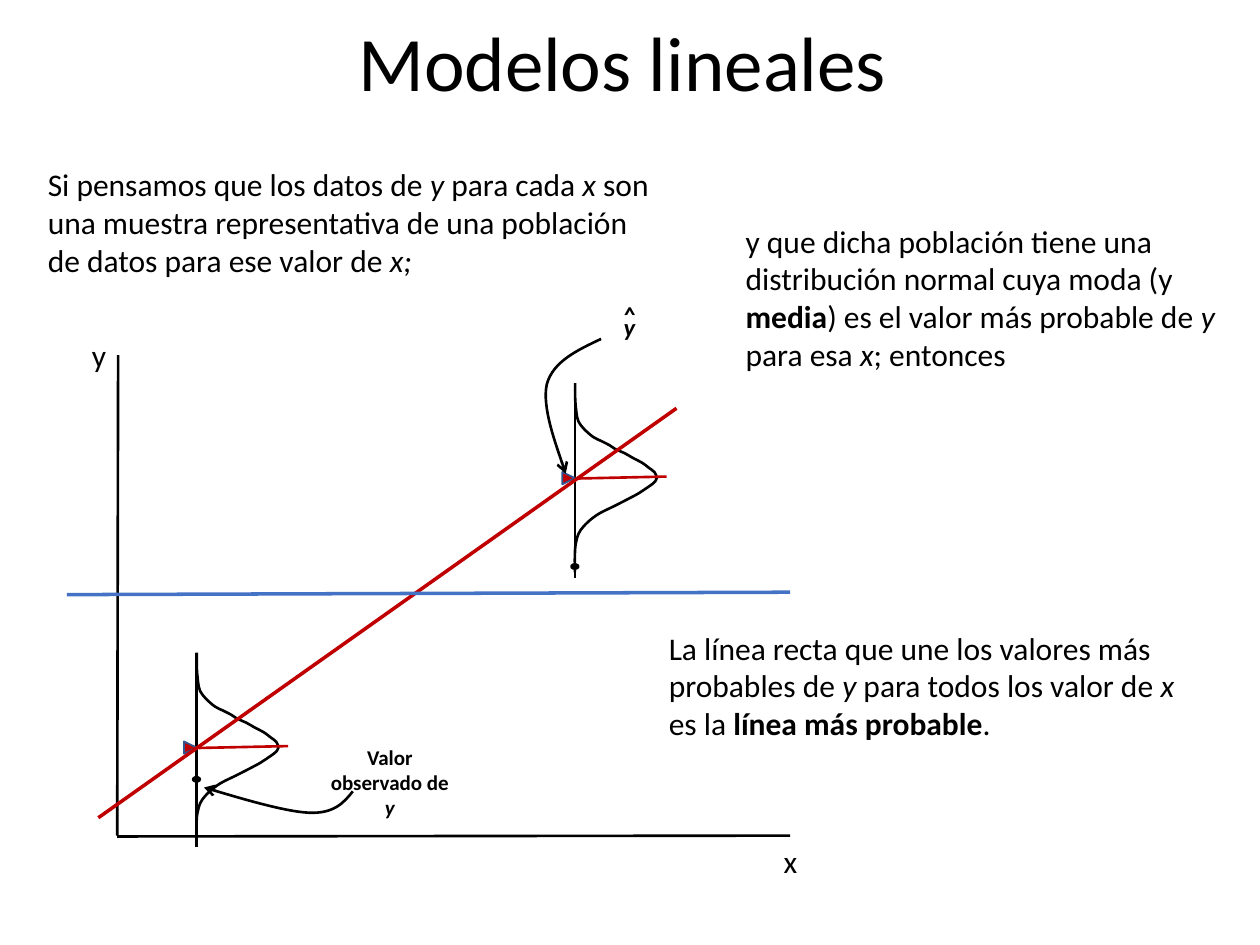
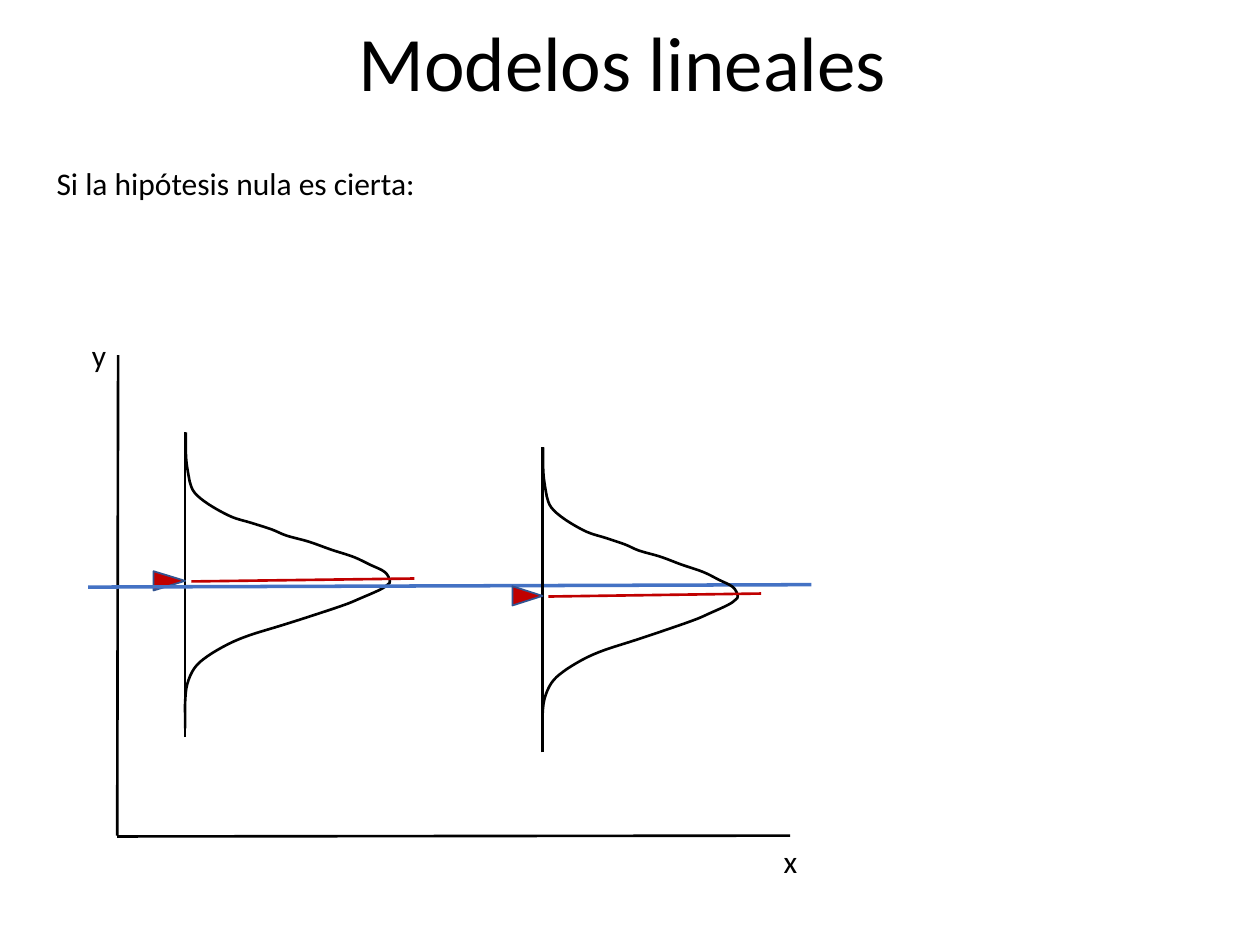
from dataclasses import dataclass

from lxml import etree
from pptx import Presentation
from pptx.dml.color import RGBColor
from pptx.enum import shapes as sh, text as tx
from pptx.oxml.ns import qn
from pptx.util import Pt


@dataclass(frozen=True)
class Theme:
    font: str = "Calibri"
    ink: str = "000000"
    red: str = "C00000"
    blue: str = "4472C4"
    edge: str = "325491"
    title: int = 44
    body: int = 18
    label: int = 14
    note: int = 12
    thin: float = 1
    line: float = 1.5
    bold: float = 2


T = Theme()
PLOT = (67, 203, 384.5, 275)

# Bell outline in percent of its box, from the foot to the top
BELL = [
    (0, 100), (0, 96.2), (0, 91.1), (1, 85.1), (4.6, 79.6), (10.8, 75.7),
    (21.2, 71.5), (31.7, 68.5), (47.7, 65.1), (63.1, 61.7), (77.8, 58.3),
    (85.2, 56.2), (95.1, 53.2), (98.8, 51.5), (100, 50.2), (97.5, 47.2),
    (90.2, 44.7), (82.2, 42.1), (71.1, 39.6), (60.6, 37), (49.5, 34.9),
    (42.2, 32.8), (32.3, 30.6), (22.5, 28.5), (11.4, 24.3), (4.6, 20.4),
    (2.2, 16.6), (1.5, 14), (0.6, 9.8), (0.3, 5.5), (0.3, 0),
]


def color(code):
    return RGBColor.from_string(code)


def write(slide, box, runs, size=T.body, align=tx.PP_ALIGN.LEFT):
    """Add a text box; runs are (text, style) pairs, style holding b and i."""
    frame = slide.shapes.add_textbox(*map(Pt, box)).text_frame
    frame.word_wrap = True
    para = frame.paragraphs[0]
    para.alignment = align
    for words, style in runs:
        run = para.add_run()
        run.text = words
        font = run.font
        font.name, font.size = T.font, Pt(size)
        font.color.rgb = color(T.ink)
        font.bold, font.italic = "b" in style, "i" in style
    return frame


def center(slide, box, runs, size=T.body):
    return write(slide, box, runs, size, tx.PP_ALIGN.CENTER)


def stroke(shape, code, width):
    shape.line.color.rgb = color(code)
    shape.line.width = Pt(width)


def rule(slide, start, end, code=T.ink, width=T.line):
    line = slide.shapes.add_connector(
        sh.MSO_CONNECTOR.STRAIGHT, *map(Pt, start + end))
    stroke(line, code, width)
    etree.SubElement(line._element.spPr, qn("a:effectLst"))


def solid(slide, kind, box, fill, edge):
    shape = slide.shapes.add_shape(kind, *map(Pt, box))
    shape.shadow.inherit = False
    shape.fill.solid()
    shape.fill.fore_color.rgb = color(fill)
    stroke(shape, edge, T.thin)
    return shape


def curve(slide, points):
    """Draw Bezier pieces: a start, then two controls and an end for each."""
    spots = [(Pt(x), Pt(y)) for x, y in points]
    build = slide.shapes.build_freeform(*spots[0])
    build.add_line_segments(spots[1:], close=False)
    shape = build.convert_to_shape()
    shape.shadow.inherit = False
    shape.fill.background()
    stroke(shape, T.ink, T.line)
    trace = shape._element.find(".//" + qn("a:path"))
    steps = trace.findall(qn("a:lnTo"))
    for at in range(0, len(steps), 3):
        piece = etree.SubElement(trace, qn("a:cubicBezTo"))
        for step in steps[at:at + 3]:
            piece.append(step[0])
            trace.remove(step)
    return shape


def arrow(slide, points):
    shape = curve(slide, points)
    etree.SubElement(shape.line._get_or_add_ln(), qn("a:tailEnd"), type="arrow")


def smooth(knots):
    """Return the Bezier points of a smooth line through the knots."""
    ends = [knots[0], *knots, knots[-1]]
    points = [knots[0]]
    for (ax, ay), (bx, by), (cx, cy), (dx, dy) in zip(
            ends, ends[1:], ends[2:], ends[3:]):
        points += [(bx + (cx - ax) / 6, by + (cy - ay) / 6),
                   (cx - (dx - bx) / 6, cy - (dy - by) / 6), (cx, cy)]
    return points


def bell(slide, box):
    """Draw a normal curve on its side, with base line, mean and pointer."""
    x, y, w, h = box

    def spot(u, v):
        return x + u * w, y + v * h

    curve(slide, smooth([spot(u / 100, v / 100) for u, v in BELL]))
    rule(slide, spot(0, 1.03), spot(0, 0))
    long, tall = 0.154 * w, 0.065 * h
    mark = solid(slide, sh.MSO_SHAPE.ISOSCELES_TRIANGLE,
                 (x - (long + tall) / 2, y + 0.502 * h - long / 2, tall, long),
                 T.red, T.edge)
    mark.rotation = 90
    rule(slide, spot(1.12, 0.494), spot(0.03, 0.504), T.red)


def dot(slide, x, y):
    w, h = 4.3, 2.9
    solid(slide, sh.MSO_SHAPE.OVAL, (x - w / 2, y - h / 2, w, h), T.ink, T.ink)


def axes(slide, box):
    x, y, w, h = box
    rule(slide, (x + 0.5, y), (x, y + h - 0.5))
    rule(slide, (x + w, y + h - 0.5), (x, y + h))
    center(slide, (x - 26.7, y - 14.4, 32.4, 26), [("y", "")])
    center(slide, (x + w - 16, y + h - 0.5, 32.4, 26), [("x", "")])


def level(slide, x, y):
    """Draw the flat line of the null hypothesis."""
    rule(slide, (x, y), (x + 413.3, y - 1.4), T.blue, T.bold)


def base(deck):
    """Add a slide with the shared title and axes."""
    slide = deck.slides.add_slide(deck.slide_layouts[6])
    frame = center(slide, (45.4, -14.4, 620.6, 104.4),
                   [("Modelos lineales", "")], T.title)
    frame.vertical_anchor = tx.MSO_ANCHOR.MIDDLE
    frame.paragraphs[0].line_spacing = 0.9
    axes(slide, PLOT)
    return slide


def notes(slide):
    """Label the observed value and the estimate, each with its arrow."""
    center(slide, (180.7, 421.9, 84.2, 51),
           [("Valor observado de ", "b"), ("y", "bi")], T.note)
    arrow(slide, [(201.6, 452.2), (196.6, 458.6), (190.8, 465.1),
                  (176.4, 464.4), (162, 463.7), (116.6, 450), (116.6, 450)])
    arrow(slide, [(343.5, 193.7), (329.8, 200.2), (316.1, 206.6),
                  (312.5, 219.6), (309.6, 232.6), (323.3, 270.7),
                  (323.3, 270.7)])
    center(slide, (320.4, 175, 78.5, 24.5), [("y", "bi")], T.label)
    center(slide, (345.6, 167.8, 28, 24.5), [("^", "bi")], T.label)


def likely(deck):
    slide = base(deck)
    for x, y, share in ((112.3, 373, 0.67), (328.5, 219, 0.97)):
        bell(slide, (x, y, 46.8, 108))
        dot(slide, x, y + share * 108)
    write(slide, (375.1, 355.7, 313.9, 72.7), [
        ("La línea recta que une los valores más probables de ", ""),
        ("y", "i"), (" para todos los valor de ", ""), ("x", "i"),
        (" es la ", ""), ("línea más probable", "b"), (".", "")])
    write(slide, (20.2, 90.7, 363.6, 72.7), [
        ("Si pensamos que los datos de ", ""), ("y", "i"),
        (" para cada ", ""), ("x", "i"),
        (" son una muestra representativa de una población de datos "
         "para ese valor de ", ""), ("x;", "i")])
    write(slide, (419, 123.1, 288.7, 94.3), [
        ("y que dicha población tiene una distribución normal "
         "cuya moda (y ", ""), ("media", "b"),
        (") es el valor más probable de ", ""), ("y", "i"),
        (" para esa ", ""), ("x", "i"), ("; entonces", "")])
    notes(slide)
    rule(slide, (56.2, 467.3), (386.6, 233.3), T.red, T.bold)
    level(slide, 38.2, 339.8)


def null(deck):
    slide = base(deck)
    bell(slide, (105.8, 247, 117, 169.2))
    level(slide, 50.4, 335.5)
    write(slide, (25.2, 90, 310.3, 28.8),
          [("Si la hipótesis nula es cierta:", "")])
    bell(slide, (310, 255.6, 111.6, 169.2))


def main():
    deck = Presentation()
    deck.slide_width, deck.slide_height = Pt(720), Pt(540)
    likely(deck)
    null(deck)
    deck.save("out.pptx")


if __name__ == "__main__":
    main()
